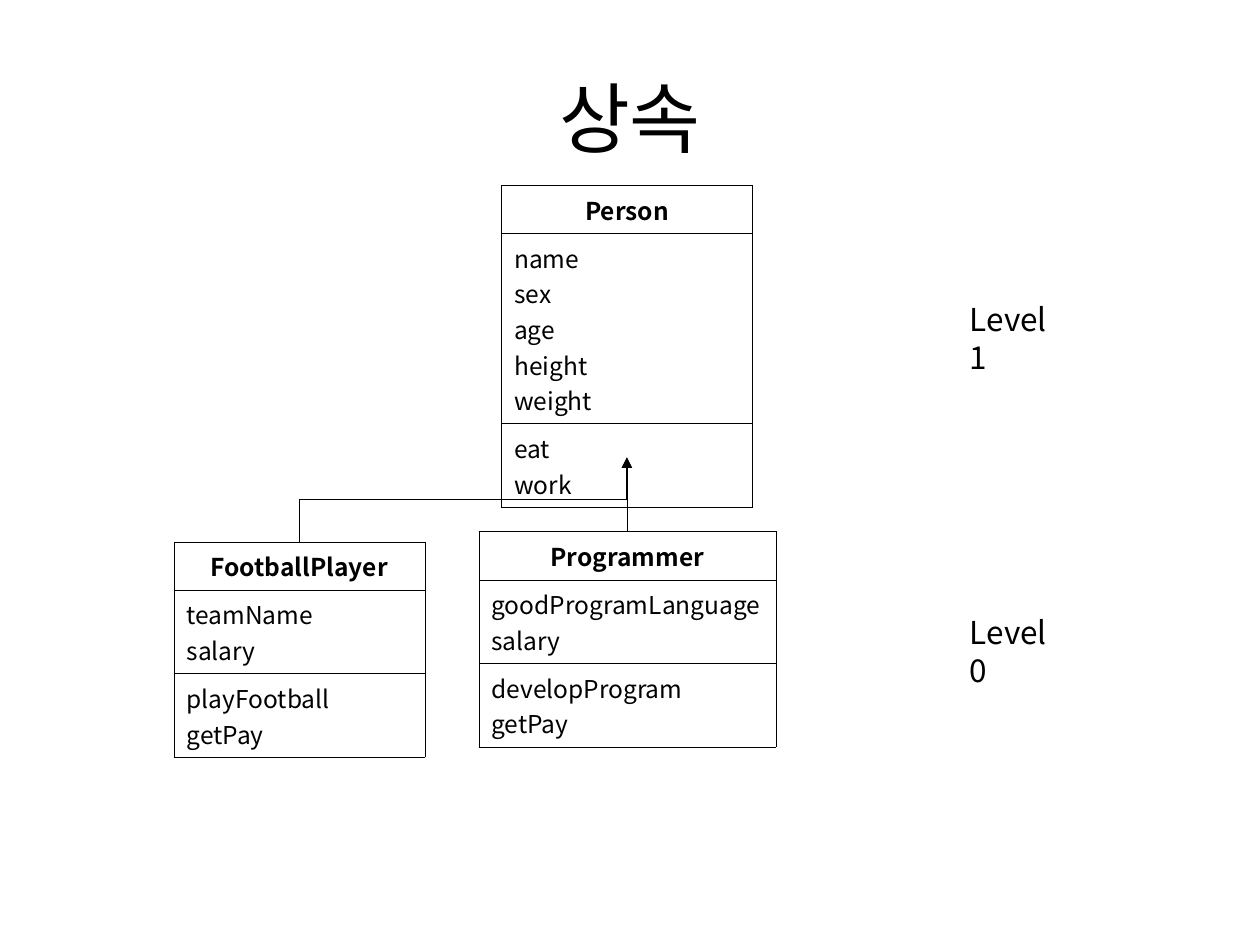
from lxml import etree
from pptx import Presentation
from pptx.dml.color import RGBColor
from pptx.enum.shapes import MSO_CONNECTOR
from pptx.enum.text import MSO_ANCHOR, MSO_AUTO_SIZE, PP_ALIGN
from pptx.oxml.ns import qn
from pptx.util import Pt

ELBOW = MSO_CONNECTOR.ELBOW
MIDDLE = MSO_ANCHOR.MIDDLE
FIT_SHAPE = MSO_AUTO_SIZE.SHAPE_TO_FIT_TEXT
CENTER, LEFT = PP_ALIGN.CENTER, PP_ALIGN.LEFT
FONT, INK = "Noto Sans CJK KR", "000000"

# Content: lengths in points
TITLE = "상속"
LEVELS = [("Level 0", 347), ("Level 1", 167.8)]
CLASSES = {
    "Person": dict(left=286.6, top=105.8, width=143.3,
                   fields=["name", "sex", "age", "height", "weight"],
                   methods=["eat", "work"]),
    "FootballPlayer": dict(left=99.4, top=309.6, width=143.3,
                           fields=["teamName", "salary"],
                           methods=["playFootball", "getPay"]),
    "Programmer": dict(left=273.6, top=303.8, width=169.9,
                       fields=["goodProgramLanguage", "salary"],
                       methods=["developProgram", "getPay"]),
}
PARENT, CHILDREN = "Person", ["FootballPlayer", "Programmer"]
ARROW_TIP = 261.4
LINE_PITCH, CELL_PADDING = 20.3, 7.2


def color(hex_code):
    return RGBColor.from_string(hex_code)


def write(frame, lines, size, align=LEFT, bold=False):
    frame.text = "\n".join(lines)
    for para in frame.paragraphs:
        para.alignment = align
        for span in para.runs:
            span.font.size = Pt(size)
            span.font.bold = bold
            span.font.name = FONT
            span.font.color.rgb = color(INK)
            east_asian = etree.SubElement(span.font._element, qn("a:ea"))
            east_asian.set("typeface", FONT)


def add_text(page, text, left, top, width, height, size):
    box = page.shapes.add_textbox(Pt(left), Pt(top), Pt(width), Pt(height))
    write(box.text_frame, [text], size)
    return box.text_frame


def outline_cell(cell):
    cell.fill.background()
    props = cell._tc.get_or_add_tcPr()
    for index, side in enumerate(("lnL", "lnR", "lnT", "lnB")):
        border = etree.Element(qn("a:" + side), w=str(Pt(0.25)))
        fill = etree.SubElement(border, qn("a:solidFill"))
        etree.SubElement(fill, qn("a:srgbClr"), val=INK)
        props.insert(index, border)


def add_class(page, name, left, top, width, fields, methods):
    sections = [[name], fields, methods]
    heights = [CELL_PADDING + LINE_PITCH * len(lines) for lines in sections]
    table = page.shapes.add_table(len(sections), 1, Pt(left), Pt(top),
                                  Pt(width), Pt(sum(heights))).table
    table.first_row = table.horz_banding = False
    for index, lines in enumerate(sections):
        table.rows[index].height = Pt(heights[index])
        cell = table.cell(index, 0)
        header = index == 0
        write(cell.text_frame, lines, 14, CENTER if header else LEFT, header)
        outline_cell(cell)


def add_upward_arrow(page, x1, y1, x2, y2):
    # An elbow starts sideways, so lay it out flat and turn it upward
    mid_x, mid_y = (x1 + x2) / 2, (y1 + y2) / 2
    half_rise, half_run = (y1 - y2) / 2, (x2 - x1) / 2
    arrow = page.shapes.add_connector(
        ELBOW, Pt(mid_x - half_rise), Pt(mid_y - half_run),
        Pt(mid_x + half_rise), Pt(mid_y + half_run))
    props = arrow._element.spPr
    props.find(qn("a:xfrm")).set("rot", str(270 * 60000))
    arrow.line.color.rgb = color(INK)
    arrow.line.width = Pt(0.75)
    etree.SubElement(arrow.line._get_or_add_ln(), qn("a:tailEnd"), type="triangle")
    etree.SubElement(props, qn("a:effectLst"))


deck = Presentation()
deck.slide_width, deck.slide_height = Pt(720), Pt(540)
page = deck.slides.add_slide(deck.slide_layouts[6])

# Title
title = add_text(page, TITLE, 36, 21.6, 648, 90, 44)
title.word_wrap = True
title.vertical_anchor = MIDDLE
title.paragraphs[0].alignment = CENTER

# Class boxes
for name, details in CLASSES.items():
    add_class(page, name, **details)

# Inheritance arrows
center = {name: d["left"] + d["width"] / 2 for name, d in CLASSES.items()}
for child in CHILDREN:
    add_upward_arrow(page, center[child], CLASSES[child]["top"],
                     center[PARENT], ARROW_TIP)

# Level labels
for text, top in LEVELS:
    label = add_text(page, text, 547.2, top, 72, 28.8, 18)
    label.word_wrap = False
    label.auto_size = FIT_SHAPE

deck.save("out.pptx")
